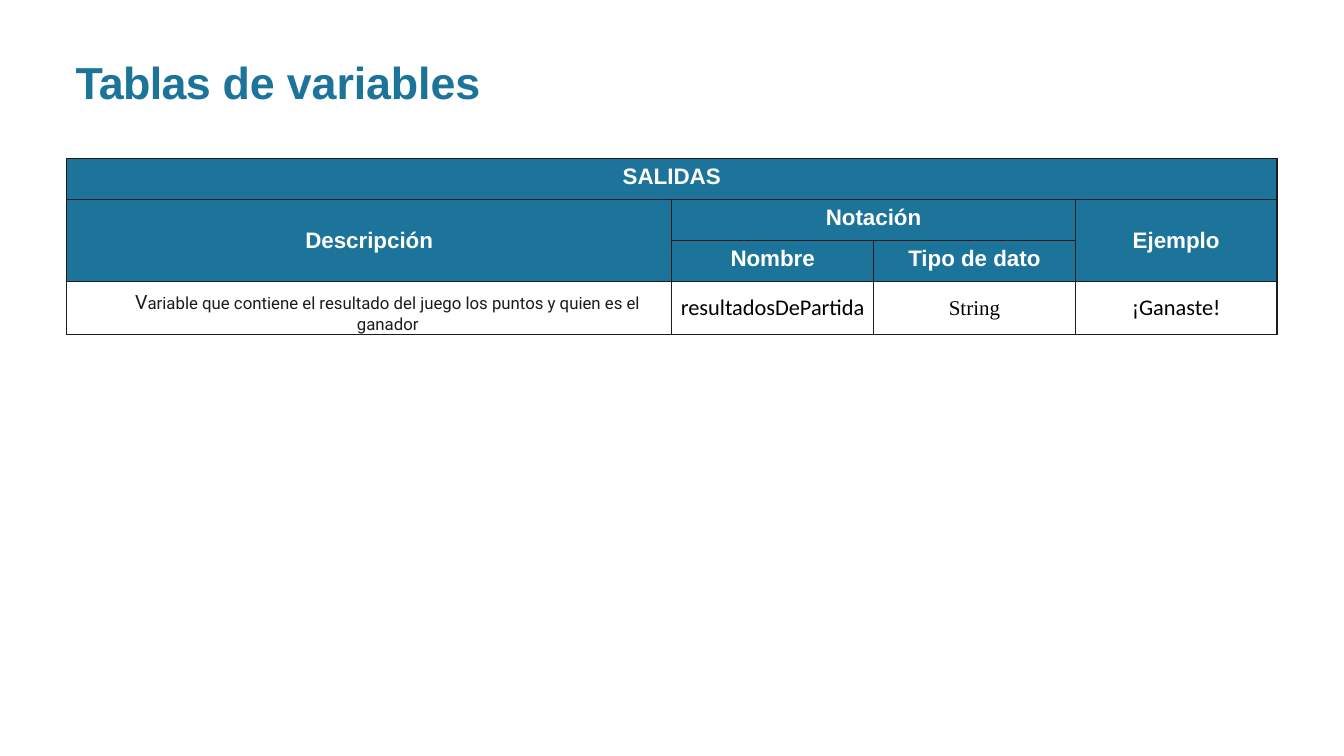
"""Build the output-variables table slide."""
from lxml.etree import SubElement
from pptx import Presentation
from pptx.dml.color import RGBColor
from pptx.enum.text import MSO_ANCHOR, PP_ALIGN
from pptx.oxml.ns import qn
from pptx.util import Pt

TITLE = [("Tablas ", -50), ("de variables", -10)]
HEADERS = [
    (0, 0, 1, 4, "SALIDAS"),
    (1, 0, 2, 1, "Descripción"),
    (1, 1, 1, 2, "Notación"),
    (1, 3, 2, 1, "Ejemplo"),
    (2, 1, 1, 1, "Nombre"),
    (2, 2, 1, 1, "Tipo de dato"),
]
VALUES = [
    [("V", "Roboto", 14),
     ("ariable que contiene el resultado del juego los puntos y quien es el ganador", "Roboto", 12)],
    [("resultadosDePartida", "Calibri", 16)],
    [("String", "Times New Roman", 15)],
    [("¡Ganaste!", "Calibri", 16)],
]
THEME = {
    "accent": RGBColor(0x1D, 0x74, 0x9A),
    "ink": RGBColor(0x1D, 0x1B, 0x1B),
    "black": RGBColor(0, 0, 0),
    "white": RGBColor(255, 255, 255),
    "font": "Arial",
    "title": 32,
    "header": 16,
    "border": 1,
}
COLUMNS = [432.4, 144.1, 144.1, 144.1]
ROWS = [29.3, 29.3, 29.3, 37.8]
LEFT, TOP = 47.5, 113.4


def set_margins(box, left=0, top=0):
    box.margin_left, box.margin_top = Pt(left), Pt(top)
    box.margin_right = box.margin_bottom = 0


def set_font(font, name, size, color, bold=False):
    font.name, font.size, font.bold = name, Pt(size), bold
    font.color.rgb = color


def set_borders(cell):
    tc_pr = cell._tc.get_or_add_tcPr()
    for side in ("a:lnL", "a:lnR", "a:lnT", "a:lnB"):
        ln = SubElement(tc_pr, qn(side), w=str(Pt(THEME["border"])))
        fill = SubElement(ln, qn("a:solidFill"))
        SubElement(fill, qn("a:srgbClr"), val=str(THEME["ink"]))


prs = Presentation()
prs.slide_width, prs.slide_height = Pt(960), Pt(540)
s = prs.slides.add_slide(prs.slide_layouts[6])

tf = s.shapes.add_textbox(Pt(54), Pt(38.2), Pt(300), Pt(40)).text_frame
tf.word_wrap = True
set_margins(tf, top=1)
p = tf.paragraphs[0]
set_font(p.font, THEME["font"], THEME["title"], THEME["accent"], True)
for text, spacing in TITLE:
    r = p.add_run()
    r.text = text
    r._r.get_or_add_rPr().set("spc", str(spacing))

table = s.shapes.add_table(len(ROWS), len(COLUMNS), Pt(LEFT), Pt(TOP),
                           Pt(sum(COLUMNS)), Pt(sum(ROWS))).table
table.first_row = table.horz_banding = False
for column, width in zip(table.columns, COLUMNS):
    column.width = Pt(width)
for row, height in zip(table.rows, ROWS):
    row.height = Pt(height)
for cell in table.iter_cells():
    set_borders(cell)
    set_margins(cell)
    cell.fill.background()
    cell.vertical_anchor = MSO_ANCHOR.MIDDLE

for row, col, height, width, text in HEADERS:
    cell = table.cell(row, col)
    if height * width > 1:
        cell.merge(table.cell(row + height - 1, col + width - 1))
    cell.fill.solid()
    cell.fill.fore_color.rgb = THEME["accent"]
    if height == 1:
        cell.vertical_anchor = MSO_ANCHOR.TOP
        set_margins(cell, top=4)
    cell.text = text
    p = cell.text_frame.paragraphs[0]
    p.alignment = PP_ALIGN.CENTER
    set_font(p.font, THEME["font"], THEME["header"], THEME["white"], True)

for col, runs in enumerate(VALUES):
    cell = table.cell(len(ROWS) - 1, col)
    if col == 0:
        set_margins(cell, left=26.6, top=6.5)
    p = cell.text_frame.paragraphs[0]
    p.alignment = PP_ALIGN.CENTER
    for text, name, size in runs:
        r = p.add_run()
        r.text = text
        set_font(r.font, name, size, THEME["ink" if col == 0 else "black"])

prs.save("out.pptx")
